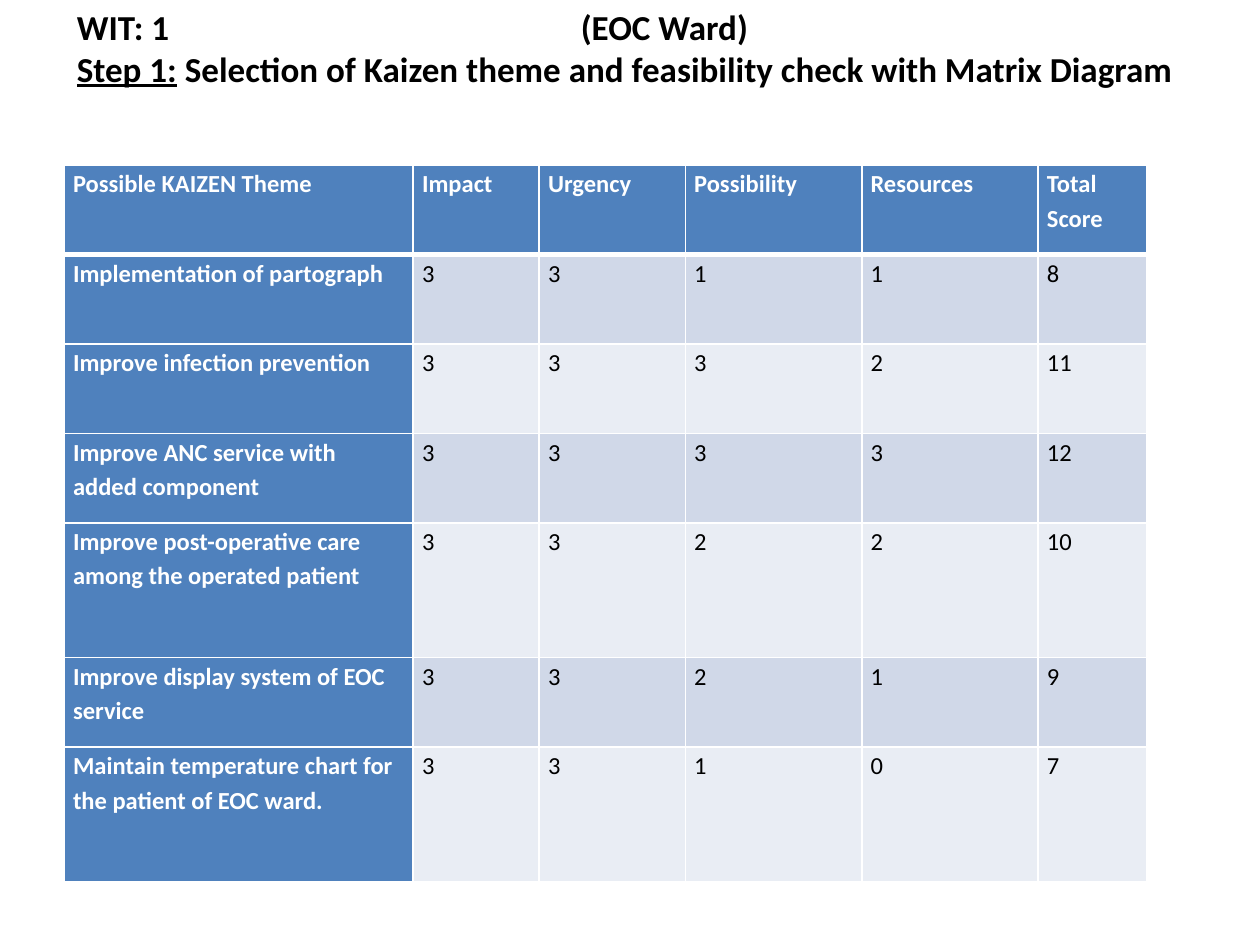
from lxml.etree import SubElement
from pptx import Presentation
from pptx.dml.color import RGBColor
from pptx.enum.text import MSO_ANCHOR, MSO_AUTO_SIZE, PP_ALIGN
from pptx.oxml.ns import qn
from pptx.util import Inches, Pt

WHITE = RGBColor(0xFF, 0xFF, 0xFF)
BLACK = RGBColor(0, 0, 0)
BLUE = RGBColor(0x4F, 0x81, 0xBD)
BANDS = (RGBColor(0xD0, 0xD8, 0xE8), RGBColor(0xE9, 0xED, 0xF4))

LEFT = 0.51
TABLE_TOP = 1.31
COLUMN_WIDTHS = (2.77, 1, 1.16, 1.4, 1.4, 0.86)
LOW, TALL = 0.71, 1.07
ROW_HEIGHTS = (LOW, LOW, LOW, LOW, TALL, LOW, TALL)
MATRIX = (
    ("Possible KAIZEN Theme", "Impact", "Urgency", "Possibility", "Resources", "Total Score"),
    ("Implementation of partograph", 3, 3, 1, 1, 8),
    ("Improve infection prevention", 3, 3, 3, 2, 11),
    ("Improve ANC service with added component", 3, 3, 3, 3, 12),
    ("Improve post-operative care among the operated patient", 3, 3, 2, 2, 10),
    ("Improve display system of EOC service", 3, 3, 2, 1, 9),
    ("Maintain temperature chart for the patient of EOC ward.", 3, 3, 1, 0, 7),
)


def add_text(paragraph, text, size=14, color=BLACK, bold=False, underline=False):
    run = paragraph.add_run()
    run.text = text
    run.font.name = "Calibri"
    run.font.size = Pt(size)
    run.font.color.rgb = color
    run.font.bold = bold
    run.font.underline = underline


def add_tab_stop(paragraph, position):
    stops = SubElement(paragraph._p.get_or_add_pPr(), qn("a:tabLst"))
    SubElement(stops, qn("a:tab"), pos=str(Inches(position)), algn="l")


def fill_title(title):
    title.left, title.top = Inches(LEFT), Inches(-0.01)
    title.width, title.height = Inches(10.31), Inches(1.18)
    frame = title.text_frame
    frame.word_wrap = True
    frame.auto_size = MSO_AUTO_SIZE.NONE
    frame.vertical_anchor = MSO_ANCHOR.TOP
    ward, step = frame.paragraphs[0], frame.add_paragraph()
    ward.alignment = step.alignment = PP_ALIGN.LEFT
    add_tab_stop(ward, 4)
    add_text(ward, "WIT: 1\t(EOC Ward)", size=20, bold=True)
    add_text(step, "Step 1:", size=20, bold=True, underline=True)
    add_text(step, " Selection of Kaizen theme and feasibility check with Matrix Diagram",
             size=20, bold=True)


def set_borders(cell, top=1, bottom=1):
    """Draw white borders; call before the fill, which must follow them in the XML."""
    properties = cell._tc.get_or_add_tcPr()
    for side, width in (("L", 1), ("R", 1), ("T", top), ("B", bottom)):
        line = SubElement(properties, qn(f"a:ln{side}"), w=str(Pt(width)))
        solid = SubElement(line, qn("a:solidFill"))
        SubElement(solid, qn("a:srgbClr"), val=str(WHITE))


def fill_cell(cell, text, row, column):
    heading = row == 0 or column == 0
    set_borders(cell, top=3 if row == 1 else 1, bottom=3 if row == 0 else 1)
    cell.fill.solid()
    cell.fill.fore_color.rgb = BLUE if heading else BANDS[(row - 1) % 2]
    cell.margin_left = cell.margin_right = Inches(0.07)
    cell.margin_top = cell.margin_bottom = 0
    paragraph = cell.text_frame.paragraphs[0]
    paragraph.line_spacing = 1.15
    add_text(paragraph, str(text), color=WHITE if heading else BLACK, bold=heading)


def add_matrix(slide):
    table = slide.shapes.add_table(
        len(MATRIX), len(COLUMN_WIDTHS), Inches(LEFT), Inches(TABLE_TOP),
        Inches(sum(COLUMN_WIDTHS)), Inches(sum(ROW_HEIGHTS))).table
    table.first_col = True
    for column, width in zip(table.columns, COLUMN_WIDTHS):
        column.width = Inches(width)
    for row, height in zip(table.rows, ROW_HEIGHTS):
        row.height = Inches(height)
    for row, values in enumerate(MATRIX):
        for column, value in enumerate(values):
            fill_cell(table.cell(row, column), value, row, column)


def main():
    deck = Presentation()
    deck.slide_width, deck.slide_height = Inches(10), Inches(7.5)
    slide = deck.slides.add_slide(deck.slide_layouts.get_by_name("Title Only"))
    add_matrix(slide)
    fill_title(slide.shapes.title)
    deck.save("out.pptx")


if __name__ == "__main__":
    main()
